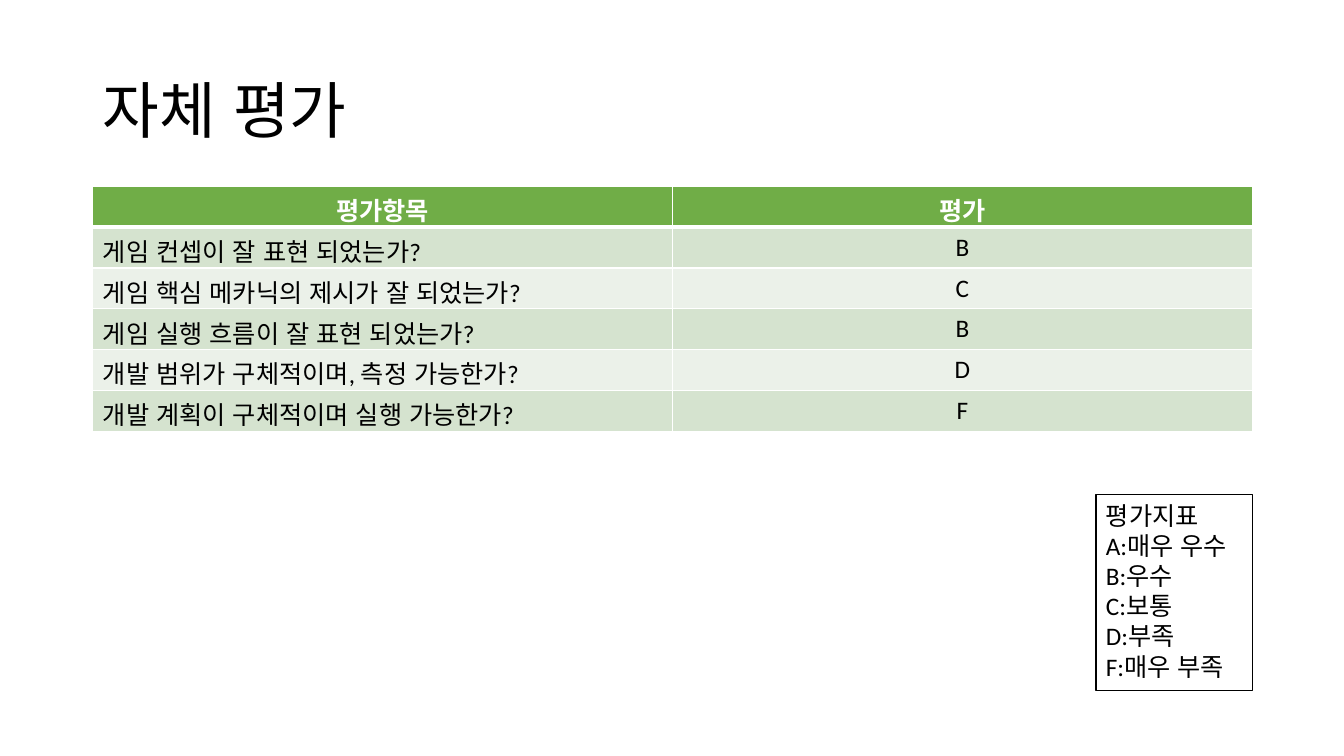
from dataclasses import dataclass

from lxml import etree
from pptx import Presentation
from pptx.dml.color import RGBColor
from pptx.enum.lang import MSO_LANGUAGE_ID
from pptx.enum.shapes import MSO_SHAPE
from pptx.enum.text import MSO_ANCHOR, MSO_AUTO_SIZE, PP_ALIGN
from pptx.oxml.ns import qn
from pptx.util import Inches, Pt

KOREAN = MSO_LANGUAGE_ID.KOREAN
RECTANGLE = MSO_SHAPE.RECTANGLE
TOP, MIDDLE = MSO_ANCHOR.TOP, MSO_ANCHOR.MIDDLE
GROW = MSO_AUTO_SIZE.SHAPE_TO_FIT_TEXT
LEFT, CENTER = PP_ALIGN.LEFT, PP_ALIGN.CENTER


@dataclass(frozen=True)
class Theme:
    font: str = "Calibri"
    title_size: int = 44
    body_size: int = 18
    text: str = "000000"
    white: str = "FFFFFF"
    header: str = "70AD47"
    bands: tuple = ("D5E3CF", "EBF1E9")
    grid_width: float = 1
    header_rule_width: float = 3
    legend_line_width: float = 0.75


THEME = Theme()
HEADINGS = ("평가항목", "평가")
RATINGS = (
    ("게임 컨셉이 잘 표현 되었는가?", "B"),
    ("게임 핵심 메카닉의 제시가 잘 되었는가?", "C"),
    ("게임 실행 흐름이 잘 표현 되었는가?", "B"),
    ("개발 범위가 구체적이며, 측정 가능한가?", "D"),
    ("개발 계획이 구체적이며 실행 가능한가?", "F"),
)
LEGEND = ("평가지표", "A:매우 우수", "B:우수", "C:보통", "D:부족", "F:매우 부족")


def add_text(paragraph, text, size, color, bold=False, alignment=LEFT):
    paragraph.alignment = alignment
    run = paragraph.add_run()
    run.text = text
    font = run.font
    font.name = THEME.font
    font.size = Pt(size)
    font.bold = bold
    font.color.rgb = RGBColor.from_string(color)
    font.language_id = KOREAN


def set_border(cell, side, width):
    properties = cell._tc.get_or_add_tcPr()
    line = etree.SubElement(properties, qn(f"a:{side}"), w=str(Pt(width)))
    fill = etree.SubElement(line, qn("a:solidFill"))
    etree.SubElement(fill, qn("a:srgbClr"), val=THEME.white)


def style_cell(cell, row, column, text):
    is_header = row == 0
    for side in ("lnL", "lnR", "lnT", "lnB"):
        next_to_header = (side, row) in (("lnB", 0), ("lnT", 1))
        set_border(cell, side, THEME.header_rule_width if next_to_header else THEME.grid_width)
    cell.fill.solid()
    fill = THEME.header if is_header else THEME.bands[(row - 1) % 2]
    cell.fill.fore_color.rgb = RGBColor.from_string(fill)
    add_text(
        cell.text_frame.paragraphs[0],
        text,
        THEME.body_size,
        THEME.white if is_header else THEME.text,
        is_header,
        CENTER if is_header or column == 1 else LEFT,
    )


def add_title(slide, left, top, width, height):
    box = slide.shapes.add_textbox(left, top, width, height)
    frame = box.text_frame
    frame.word_wrap = True
    frame.vertical_anchor = MIDDLE
    paragraph = frame.paragraphs[0]
    paragraph.line_spacing = 0.9
    add_text(paragraph, "자체 평가", THEME.title_size, THEME.text)


def add_ratings(slide, left, top, width, height):
    rows = (HEADINGS, *RATINGS)
    table = slide.shapes.add_table(len(rows), len(HEADINGS), left, top, width, height).table
    for row, texts in enumerate(rows):
        for column, text in enumerate(texts):
            style_cell(table.cell(row, column), row, column, text)


def add_legend(slide, left, top, width, height):
    box = slide.shapes.add_shape(RECTANGLE, left, top, width, height)
    box.shadow.inherit = False
    box.fill.background()
    box.line.color.rgb = RGBColor.from_string(THEME.text)
    box.line.width = Pt(THEME.legend_line_width)
    frame = box.text_frame
    frame.word_wrap = False
    frame.auto_size = GROW
    frame.vertical_anchor = TOP
    for index, text in enumerate(LEGEND):
        paragraph = frame.add_paragraph() if index else frame.paragraphs[0]
        add_text(paragraph, text, THEME.body_size, THEME.text)


def main():
    presentation = Presentation()
    presentation.slide_width = Inches(13.33)
    presentation.slide_height = Inches(7.5)
    slide = presentation.slides.add_slide(presentation.slide_layouts[6])
    left, width = Inches(0.92), Inches(11.5)
    add_title(slide, left, Inches(0.4), width, Inches(1.45))
    add_ratings(slide, left, Inches(1.85), width, Inches(2.43))
    legend_width = Inches(1.55)
    add_legend(slide, left + width - legend_width, Inches(4.91), legend_width, Inches(1.94))
    presentation.save("out.pptx")


if __name__ == "__main__":
    main()
